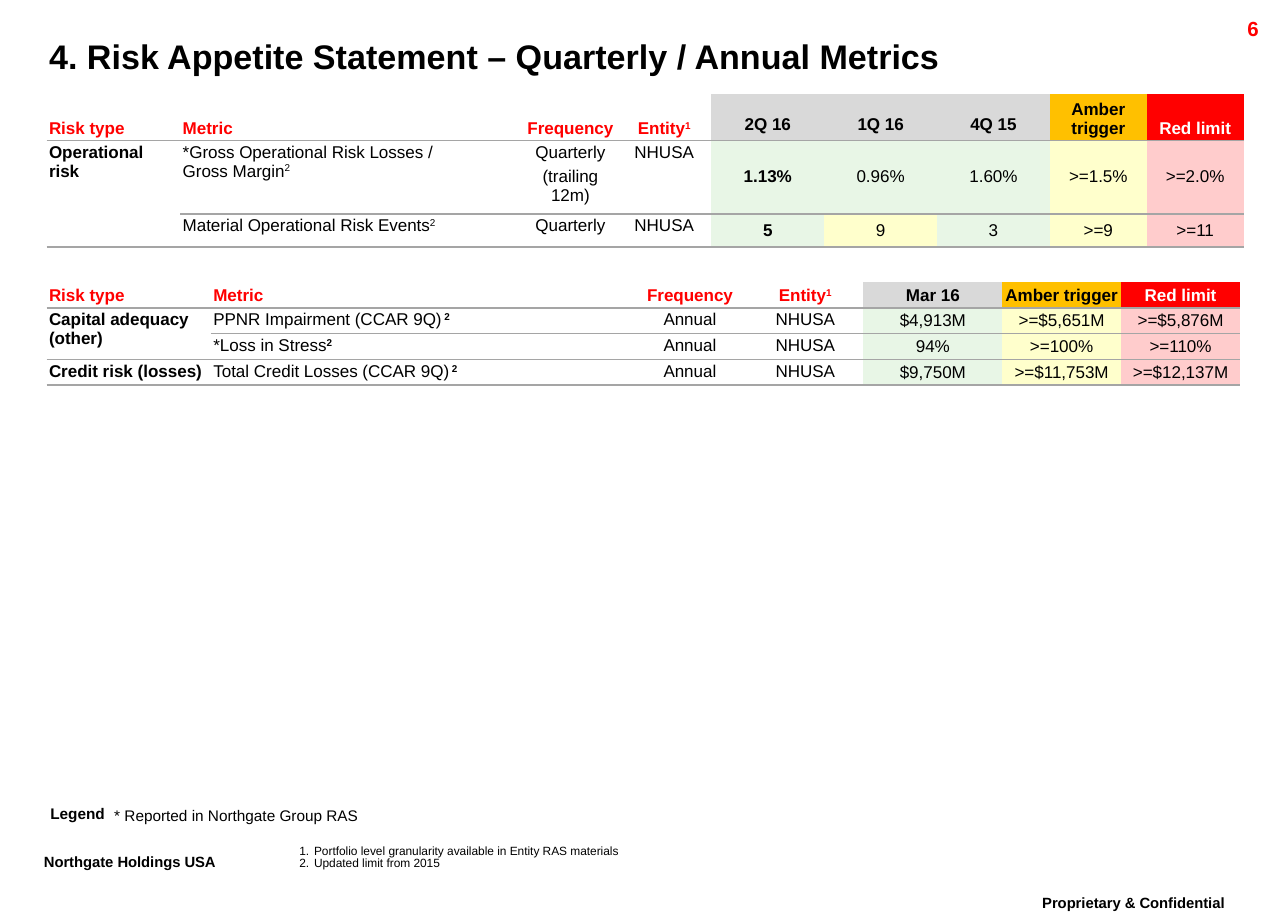
"""Builds the quarterly and annual risk appetite metrics slide."""
from lxml.etree import SubElement
from pptx import Presentation
from pptx.dml.color import RGBColor
from pptx.enum.text import MSO_ANCHOR, MSO_AUTO_SIZE, PP_ALIGN
from pptx.oxml.ns import qn
from pptx.util import Inches, Pt

BLACK = RGBColor(0x00, 0x00, 0x00)
WHITE = RGBColor(0xFF, 0xFF, 0xFF)
RED = RGBColor(0xFF, 0x00, 0x00)
AMBER = RGBColor(0xFF, 0xC0, 0x00)
GREY = RGBColor(0xD9, 0xD9, 0xD9)
RULE = RGBColor(0xA5, 0xA5, 0xA5)
PALE_GREEN = RGBColor(0xE8, 0xF6, 0xE6)
PALE_YELLOW = RGBColor(0xFF, 0xFF, 0xCC)
PALE_RED = RGBColor(0xFF, 0xCC, 0xCC)


def style_run(run, size, color=BLACK, bold=False, raised=False):
    run.font.name = "Arial"
    run.font.size = Pt(size)
    run.font.bold = bold
    run.font.color.rgb = color
    if raised:
        run.font._element.set("baseline", "30000")


def rule_cell(cell, side, color):
    line = SubElement(cell._tc.get_or_add_tcPr(), qn(f"a:{side}"), w=str(Pt(1)))
    if color is None:
        SubElement(line, qn("a:noFill"))
    else:
        SubElement(SubElement(line, qn("a:solidFill")), qn("a:srgbClr"), val=str(color))


deck = Presentation()
deck.slide_width, deck.slide_height = Inches(10.5), Inches(7.5)
slide = deck.slides.add_slide(deck.slide_layouts[1])

title, footnotes = slide.placeholders
title.left, title.top, title.width, title.height = map(Inches, (0.3, 0.29, 9.82, 0.39))
title.text_frame.text = "4. Risk Appetite Statement – Quarterly / Annual Metrics"
title.text_frame.vertical_anchor = MSO_ANCHOR.TOP
title.text_frame.auto_size = MSO_AUTO_SIZE.NONE
heading = title.text_frame.paragraphs[0]
heading.alignment = PP_ALIGN.LEFT
heading.line_spacing = 0.86
style_run(heading.runs[0], 20, bold=True)

footnotes.left, footnotes.top, footnotes.width, footnotes.height = map(Inches, (2.44, 6.89, 5.8, 0.22))
notes_frame = footnotes.text_frame
notes_frame.text = "Portfolio level granularity available in Entity RAS materials\nUpdated limit from 2015"
notes_frame.auto_size = MSO_AUTO_SIZE.NONE
notes_frame.margin_left = notes_frame.margin_right = 0
notes_frame.margin_top = notes_frame.margin_bottom = 0
for footnote in notes_frame.paragraphs:
    properties = footnote._p.get_or_add_pPr()
    properties.set("marL", str(Inches(0.12)))
    properties.set("indent", str(Inches(-0.12)))
    SubElement(properties, qn("a:buFont"), typeface="Arial")
    SubElement(properties, qn("a:buAutoNum"), type="arabicPeriod")
    footnote.line_spacing = 0.86
    footnote.space_before = Pt(0)
    style_run(footnote.runs[0], 7)

LEFT, CENTER, RIGHT = PP_ALIGN.LEFT, PP_ALIGN.CENTER, PP_ALIGN.RIGHT
labels = [
    ("Proprietary & Confidential", (8.15, 7.25, 2.18, 0.25), 15, BLACK, True, CENTER, True),
    ("Northgate Holdings USA", (0.26, 6.91, 2.1, 0.35), 15, BLACK, True, LEFT, True),
    ("6", (9.36, 0.11, 1, 0.24), 12, RED, True, RIGHT, False),
    ("* Reported in Northgate Group RAS", (0.91, 6.59, 2.03, 0.13), 9, BLACK, False, CENTER, False),
    ("Legend", (0.41, 6.58, 0.65, 0.13), 9, BLACK, True, LEFT, False),
]
for wording, place, size, color, bold, alignment, raised in labels:
    frame = slide.shapes.add_textbox(*map(Inches, place)).text_frame
    frame.word_wrap = True
    frame.text = wording
    if size == 9:
        frame.margin_left = frame.margin_right = frame.margin_top = frame.margin_bottom = 0
    line = frame.paragraphs[0]
    line.alignment = alignment
    line.line_spacing = 0.86
    style_run(line.runs[0], size, color, bold, raised)

quarterly = {
    "top": 0.77,
    "columns": [1.09, 2.8, 0.76, 0.77, 0.92, 0.92, 0.92, 0.79, 0.79],
    "heights": [0.37, 0.6, 0.27],
    "rows": [
        ["Risk type", "Metric", "Frequency", "Entity^1", "2Q 16", "1Q 16", "4Q 15",
         "Amber trigger", "Red limit"],
        ["Operational risk", "*Gross Operational Risk Losses /\vGross Margin^2",
         "Quarterly\n(trailing 12m)", "NHUSA", "1.13%", "0.96%", "1.60%", ">=1.5%", ">=2.0%"],
        ["", "Material Operational Risk Events^2", "Quarterly", "NHUSA",
         "5", "9", "3", ">=9", ">=11"],
    ],
    "periods": 3, "bold_columns": {0, 4}, "bold_marks": False, "breaches": {(2, 5)},
}
annual = {
    "top": 2.3,
    "columns": [1.34, 3.44, 0.93, 0.95, 1.13, 0.97, 0.97],
    "heights": [0.21] * 4,
    "rows": [
        ["Risk type", "Metric", "Frequency", "Entity^1", "Mar 16", "Amber trigger", "Red limit"],
        ["Capital adequacy (other)", "PPNR Impairment (CCAR 9Q)^ 2", "Annual", "NHUSA",
         "$4,913M", ">=$5,651M", ">=$5,876M"],
        ["", "*Loss in Stress^2", "Annual", "NHUSA", "94%", ">=100%", ">=110%"],
        ["Credit risk (losses)", "Total Credit Losses (CCAR 9Q)^ 2", "Annual", "NHUSA",
         "$9,750M", ">=$11,753M", ">=$12,137M"],
    ],
    "periods": 1, "bold_columns": {0}, "bold_marks": True, "breaches": set(),
}

for metrics in (quarterly, annual):
    columns, heights, periods = metrics["columns"], metrics["heights"], metrics["periods"]
    header_fills = [None] * 4 + [GREY] * periods + [AMBER, RED]
    header_inks = [RED] * 4 + [BLACK] * (periods + 1) + [WHITE]
    value_fills = [None] * 4 + [PALE_GREEN] * periods + [PALE_YELLOW, PALE_RED]
    grid = slide.shapes.add_table(
        len(heights), len(columns), Inches(0.38), Inches(metrics["top"]),
        Inches(sum(columns)), Inches(sum(heights))).table
    grid.first_row = grid.horz_banding = False
    for column, width in zip(grid.columns, columns):
        column.width = Inches(width)
    for row, height in zip(grid.rows, heights):
        row.height = Inches(height)
    grid.cell(1, 0).merge(grid.cell(2, 0))

    for r, entries in enumerate(metrics["rows"]):
        for c, entry in enumerate(entries):
            cell = grid.cell(r, c)
            header = r == 0
            quarter = periods > 1 and 4 <= c < 4 + periods
            inset = Inches(0.05 if quarter else 0.02)
            cell.margin_left = cell.margin_right = cell.margin_top = cell.margin_bottom = inset
            if header:
                cell.vertical_anchor = MSO_ANCHOR.BOTTOM
            else:
                cell.vertical_anchor = MSO_ANCHOR.MIDDLE if c >= 4 else MSO_ANCHOR.TOP
            rule_cell(cell, "lnL", None)
            rule_cell(cell, "lnR", None)
            rule_cell(cell, "lnT", None if header or cell.is_spanned else RULE)
            rule_cell(cell, "lnB", RULE)
            fill = header_fills[c] if header else value_fills[c]
            if (r, c) in metrics["breaches"]:
                fill = PALE_YELLOW
            if fill is None:
                cell.fill.background()
            else:
                cell.fill.solid()
                cell.fill.fore_color.rgb = fill
            if cell.is_spanned:
                continue

            wording, _, mark = entry.partition("^")
            cell.text_frame.text = wording
            ink = header_inks[c] if header else BLACK
            bold = header or c in metrics["bold_columns"]
            for p, paragraph in enumerate(cell.text_frame.paragraphs):
                paragraph.alignment = LEFT if c < 2 else CENTER
                if p:
                    paragraph.space_before = Pt(3)
                for run in paragraph.runs:
                    style_run(run, 10, ink, bold)
            if mark:
                footnote_mark = paragraph.add_run()
                footnote_mark.text = mark
                style_run(footnote_mark, 10, ink, header or metrics["bold_marks"], raised=True)

deck.save("out.pptx")
